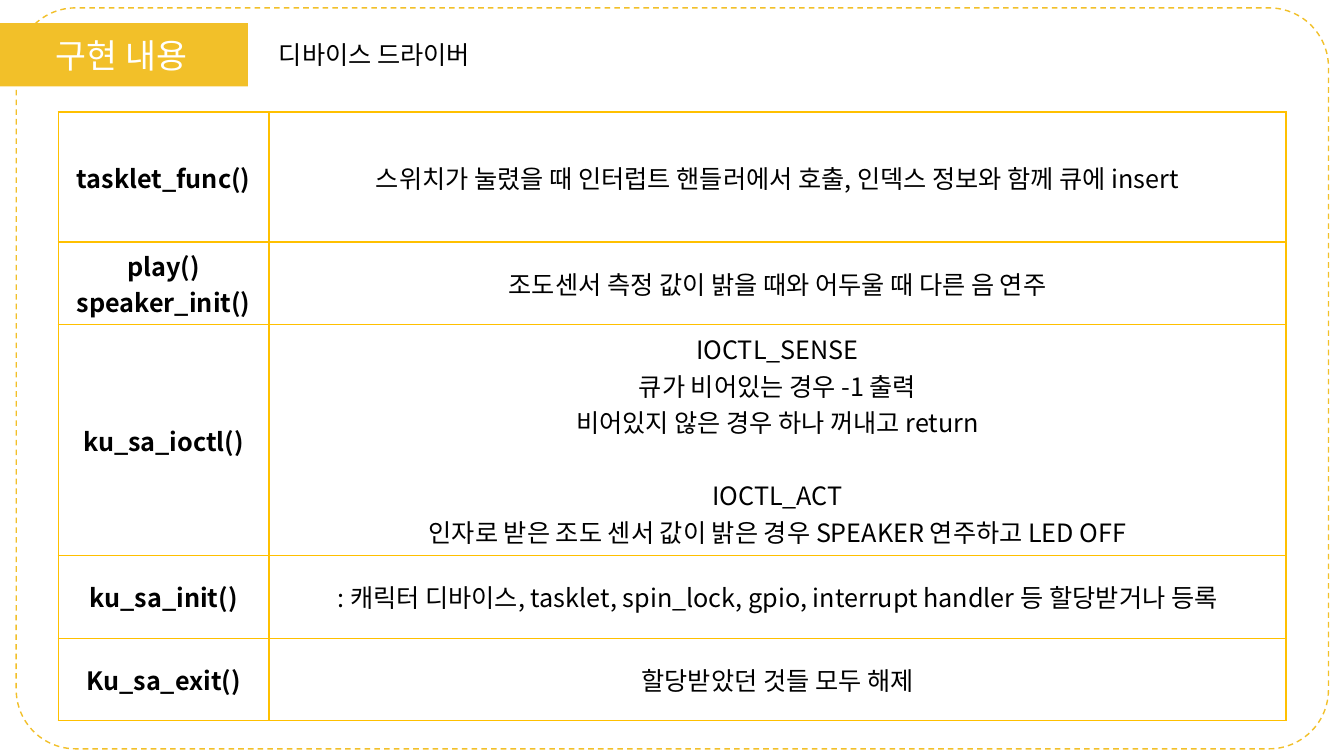
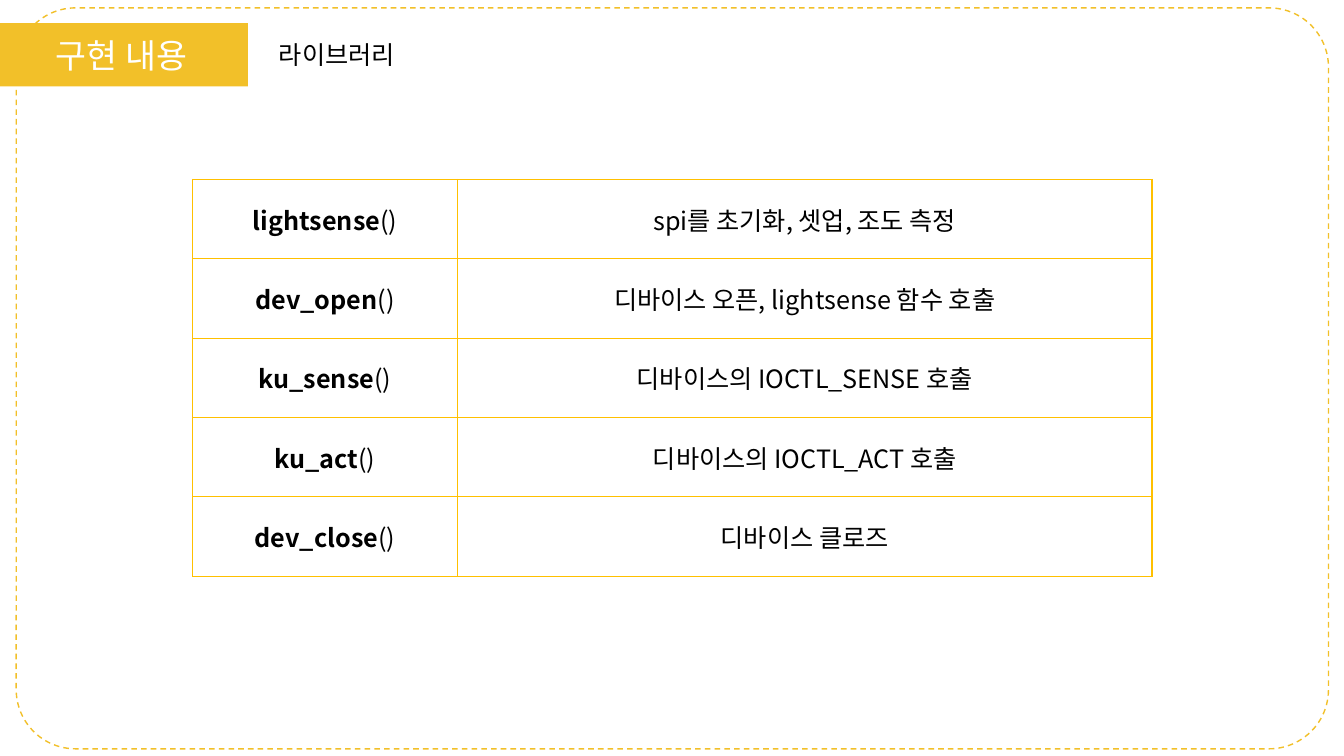
from lxml import etree
from pptx import Presentation
from pptx.dml.color import RGBColor
from pptx.enum.dml import MSO_LINE
from pptx.enum.shapes import MSO_SHAPE
from pptx.enum.text import MSO_ANCHOR, MSO_AUTO_SIZE, PP_ALIGN
from pptx.oxml import parse_xml
from pptx.oxml.ns import nsdecls, qn
from pptx.util import Cm, Pt

CENTER, LEFT = PP_ALIGN.CENTER, PP_ALIGN.LEFT
MIDDLE = MSO_ANCHOR.MIDDLE
NO_FIT, FIT_SHAPE = MSO_AUTO_SIZE.NONE, MSO_AUTO_SIZE.SHAPE_TO_FIT_TEXT
ROUNDED, DASH = MSO_SHAPE.ROUNDED_RECTANGLE, MSO_LINE.DASH

FONT = "Noto Sans CJK KR"
COLORS = {"band": "F2C029", "border": "FFC000", "text": "000000", "white": "FFFFFF"}
TITLE_ONLY = 5
LINE_GAP = Pt(26)  # one line of 18 pt text

# Boxes in cm: left, top, width, height
BAND = (-0.13, 0.58, 6.38, 1.6)
FRAME = (0.41, 0.2, 33.07, 18.67)

# A cell is a list of paragraphs; a paragraph is a list of (text, bold) runs or a string
DRIVER_ROWS = [
    (["tasklet_func()"],
     ["스위치가 눌렸을 때 인터럽트 핸들러에서 호출, 인덱스 정보와 함께 큐에 insert"]),
    (["play()", "speaker_init()"],
     ["조도센서 측정 값이 밝을 때와 어두울 때 다른 음 연주"]),
    (["ku_sa_ioctl()"],
     ["IOCTL_SENSE",
      "큐가 비어있는 경우 -1 출력",
      "비어있지 않은 경우 하나 꺼내고 return",
      "IOCTL_ACT",
      "인자로 받은 조도 센서 값이 밝은 경우 SPEAKER 연주하고 LED OFF"]),
    (["ku_sa_init()"],
     [": 캐릭터 디바이스, tasklet, spin_lock, gpio, interrupt handler 등 할당받거나 등록"]),
    (["Ku_sa_exit()"], ["할당받았던 것들 모두 해제"]),
]
LIBRARY_ROWS = [
    ([[(name, True), ("()", False)]], [note]) for name, note in (
        ("lightsense", "spi를 초기화, 셋업, 조도 측정"),
        ("dev_open", "디바이스 오픈, lightsense 함수 호출"),
        ("ku_sense", "디바이스의 IOCTL_SENSE 호출"),
        ("ku_act", "디바이스의 IOCTL_ACT 호출"),
        ("dev_close", "디바이스 클로즈"),
    )
]


def rgb(name):
    return RGBColor.from_string(COLORS[name])


def style(p, size=18, color="text", bold=False, align=CENTER):
    p.alignment = align
    p.font.size, p.font.bold, p.font.name = Pt(size), bold, FONT
    p.font.color.rgb = rgb(color)
    # Hangul takes the East Asian typeface
    def_rpr = p._p.get_or_add_pPr().find(qn("a:defRPr"))
    etree.SubElement(def_rpr, qn("a:ea")).set("typeface", FONT)


def place(sp, box):
    sp.left, sp.top, sp.width, sp.height = (Cm(v) for v in box)


def add_header(s, title, subtitle, subtitle_width):
    # Title band
    sp = s.shapes.title
    place(sp, BAND)
    sp.fill.solid()
    sp.fill.fore_color.rgb = rgb("band")
    tf = sp.text_frame
    tf.text, tf.auto_size, tf.vertical_anchor = title, NO_FIT, MIDDLE
    style(tf.paragraphs[0], 24, "white")

    # Subtitle beside the band
    left, top, width, _ = BAND
    sp = s.shapes.add_textbox(Cm(left + width + 0.53), Cm(top + 0.28),
                              Cm(subtitle_width), Cm(1.02))
    tf = sp.text_frame
    tf.text, tf.word_wrap, tf.auto_size = subtitle, False, FIT_SHAPE
    style(tf.paragraphs[0], align=LEFT)


def add_frame(s, box):
    sp = s.shapes.add_shape(ROUNDED, *(Cm(v) for v in box))
    sp.adjustments[0] = 0.08
    sp.shadow.inherit = False
    sp.fill.background()
    sp.line.color.rgb = rgb("band")
    sp.line.width, sp.line.dash_style = Pt(1), DASH


def set_borders(cell):
    tc_pr = cell._tc.get_or_add_tcPr()
    for i, side in enumerate(("lnL", "lnR", "lnT", "lnB")):
        tc_pr.insert(i, parse_xml(
            f'<a:{side} {nsdecls("a")} w="{Pt(1)}"><a:solidFill>'
            f'<a:srgbClr val="{COLORS["border"]}"/></a:solidFill></a:{side}>'))


def fill_cell(cell, paragraphs, bold):
    cell.fill.solid()
    cell.fill.fore_color.rgb = rgb("white")
    cell.vertical_anchor = MIDDLE
    set_borders(cell)
    tf = cell.text_frame
    for i, content in enumerate(paragraphs):
        p = tf.add_paragraph() if i else tf.paragraphs[0]
        if isinstance(content, str):
            p.text = content
            style(p, bold=bold)
        else:
            style(p)
            for text, run_bold in content:
                r = p.add_run()
                r.text, r.font.bold = text, run_bold
        if content == "IOCTL_ACT":
            p.space_before = LINE_GAP


def add_function_table(s, left, top, widths, heights, rows):
    table = s.shapes.add_table(len(rows), len(widths), Cm(left), Cm(top),
                               Cm(sum(widths)), Cm(sum(heights))).table
    table.first_row = table.horz_banding = False
    for col, width in zip(table.columns, widths):
        col.width = Cm(width)
    for i, (height, cells) in enumerate(zip(heights, rows)):
        table.rows[i].height = Cm(height)
        for j, paragraphs in enumerate(cells):
            fill_cell(table.cell(i, j), paragraphs, bold=j == 0)


def add_content_slide(prs, subtitle, subtitle_width, **table):
    s = prs.slides.add_slide(prs.slide_layouts[TITLE_ONLY])
    add_header(s, "구현 내용", subtitle, subtitle_width)
    add_frame(s, FRAME)
    add_function_table(s, **table)


def main():
    prs = Presentation()
    prs.slide_width, prs.slide_height = Cm(33.87), Cm(19.05)
    add_content_slide(prs, "디바이스 드라이버", 5.87, left=1.47, top=2.82,
                      widths=(5.31, 25.63), heights=(3.28, 2.08, 5.82, 2.08, 2.08),
                      rows=DRIVER_ROWS)
    add_content_slide(prs, "라이브러리", 3.71, left=4.85, top=4.52,
                      widths=(6.68, 17.5), heights=(2,) * 5, rows=LIBRARY_ROWS)
    prs.save("out.pptx")


if __name__ == "__main__":
    main()
